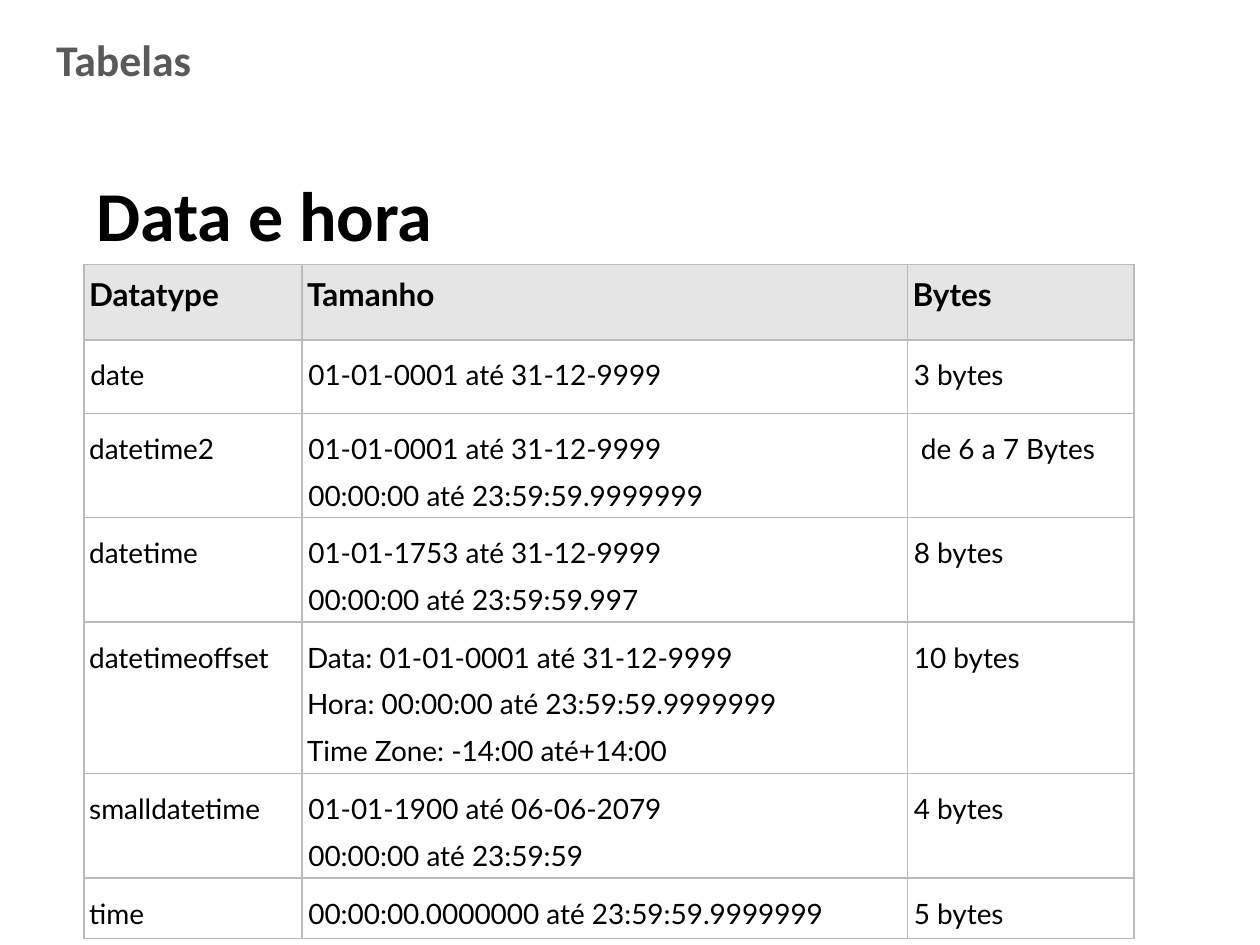
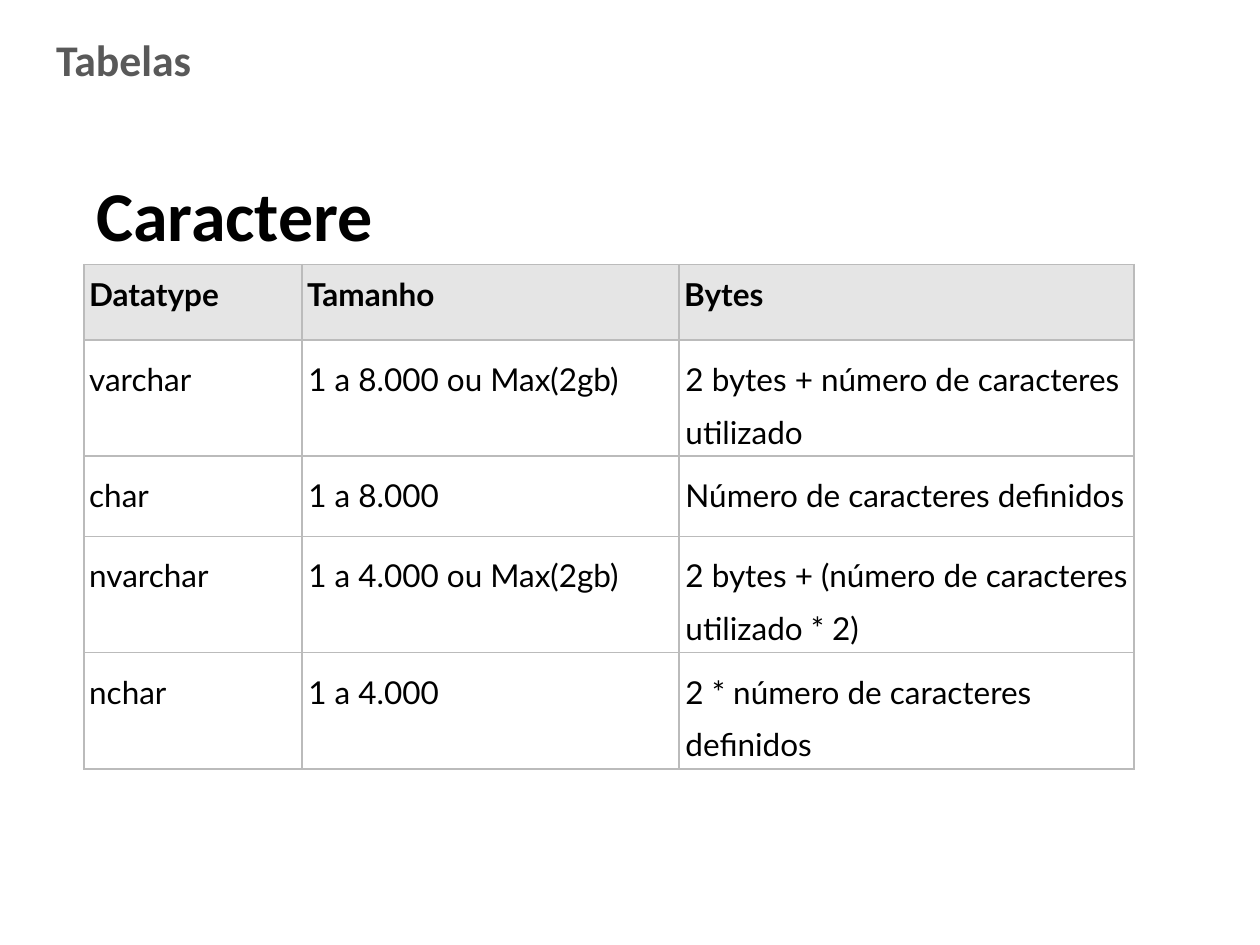
import lxml.etree
import pptx
import pptx.dml.color
import pptx.enum.text
import pptx.oxml.ns
import pptx.util

Pt = pptx.util.Pt
qn = pptx.oxml.ns.qn


def rgb(hex_value):
    return pptx.dml.color.RGBColor.from_string(hex_value)


def write(paragraph, text, font, spacing):
    paragraph.text = text
    for name, value in spacing.items():
        setattr(paragraph, name, value)
    for run in paragraph.runs:
        for name, value in font.items():
            setattr(run.font, name, value)
        run.font.color.rgb = rgb(GREY if font is SECTION_FONT else BLACK)
    for line_break in paragraph._p.findall(qn("a:br")):
        lxml.etree.SubElement(line_break, qn("a:rPr"), sz=str(int(font["size"].pt * 100)))


BLACK, GREY, RULE, HEADER_FILL, BODY_FILL = "000000", "595959", "BBBBBB", "E5E5E5", "FFFFFF"
SECTION_FONT = {"name": "Calibri", "size": Pt(25), "bold": True}
HEADING_FONT = {"name": "Calibri", "size": Pt(40), "bold": True}
HEADER_FONT = {"name": "Lato", "size": Pt(18), "bold": True}
HEADER_SPACING = {"line_spacing": 1.15, "space_after": Pt(10)}
NAME_SPACING = {"line_spacing": 1.4, "space_after": Pt(10)}
VALUE_SPACING = {"line_spacing": 1.4, "space_before": Pt(5), "space_after": Pt(5)}
TIGHT_SPACING = {"line_spacing": 1.4, "space_before": Pt(0), "space_after": Pt(0)}
CELL_MARGINS = dict.fromkeys(["margin_left", "margin_right", "margin_top", "margin_bottom"], Pt(3))
HEADER = ["Datatype", "Tamanho", "Bytes"]
TABLE_LEFT, TABLE_TOP = 48, 151.2

offset_range = (
    "Data: 01-01-0001 até 31-12-9999\n"
    "Hora: 00:00:00 até 23:59:59.9999999\n"
    "Time Zone: -14:00 até+14:00"
)

topics = [
    {
        "heading": "Data e hora",
        "body_size": 16,
        "widths": [124.5, 346, 129.5],
        "heights": [43, 42, 46, 46, 46, 46, 34.5],
        "datatypes": [
            ["date", "01-01-0001 até 31-12-9999", "3 bytes"],
            ["datetime2", "01-01-0001 até 31-12-9999\n00:00:00 até 23:59:59.9999999", " de 6 a 7 Bytes"],
            ["datetime", "01-01-1753 até 31-12-9999\n00:00:00 até 23:59:59.997", "8 bytes"],
            ["datetimeoffset", offset_range, "10 bytes"],
            ["smalldatetime", "01-01-1900 até 06-06-2079\n00:00:00 até 23:59:59", "4 bytes"],
            ["time", "00:00:00.0000000 até 23:59:59.9999999", "5 bytes"],
        ],
    },
    {
        "heading": "Caractere",
        "body_size": 18,
        "widths": [124.5, 215.5, 260],
        "heights": [43, 42, 46, 46, 46],
        "datatypes": [
            ["varchar", "1 a 8.000 ou Max(2gb)", "2 bytes + número de caracteres utilizado"],
            ["char", "1 a 8.000", "Número de caracteres definidos"],
            ["nvarchar", "1 a 4.000 ou Max(2gb)", "2 bytes + (número de caracteres utilizado * 2)"],
            ["nchar", "1 a 4.000", "2 * número de caracteres definidos"],
        ],
    },
]

deck = pptx.Presentation()
deck.slide_width, deck.slide_height = Pt(720), Pt(540)

for topic in topics:
    slide = deck.slides.add_slide(deck.slide_layouts[6])

    for text, font, bounds in [
        (topic["heading"], HEADING_FONT, (48, 94.5, 510.5, 55.5)),
        ("Tabelas", SECTION_FONT, (25, 15, 363, 37.5)),
    ]:
        title = slide.shapes.add_textbox(*map(Pt, bounds)).text_frame
        title.word_wrap = True
        title.auto_size = pptx.enum.text.MSO_AUTO_SIZE.SHAPE_TO_FIT_TEXT
        write(title.paragraphs[0], text, font, {})

    rows = [HEADER] + topic["datatypes"]
    datatype_table = slide.shapes.add_table(
        len(rows), len(HEADER), Pt(TABLE_LEFT), Pt(TABLE_TOP),
        Pt(sum(topic["widths"])), Pt(sum(topic["heights"])),
    ).table
    for column, width in zip(datatype_table.columns, topic["widths"]):
        column.width = Pt(width)
    for row, height in zip(datatype_table.rows, topic["heights"]):
        row.height = Pt(height)

    body_font = {"name": "Lato", "size": Pt(topic["body_size"]), "bold": False}
    for row_index, row in enumerate(rows):
        for column_index, text in enumerate(row):
            cell = datatype_table.cell(row_index, column_index)
            for name, value in CELL_MARGINS.items():
                setattr(cell, name, value)

            is_header = row_index == 0
            if is_header:
                spacing = HEADER_SPACING
            elif column_index == 0:
                spacing = NAME_SPACING
            else:
                spacing = TIGHT_SPACING if text == offset_range else VALUE_SPACING
            paragraph = cell.text_frame.paragraphs[0]
            write(paragraph, text, HEADER_FONT if is_header else body_font, spacing)
            if spacing is VALUE_SPACING or text == "date":
                paragraph._p.get_or_add_pPr().set("marL", str(Pt(0.75)))

            cell_format = cell._tc.get_or_add_tcPr()
            for edge in ["a:lnL", "a:lnR", "a:lnT", "a:lnB"]:
                border = lxml.etree.SubElement(cell_format, qn(edge), w=str(Pt(1)))
                border_fill = lxml.etree.SubElement(border, qn("a:solidFill"))
                lxml.etree.SubElement(border_fill, qn("a:srgbClr"), val=RULE)
            cell.fill.solid()
            cell.fill.fore_color.rgb = rgb(HEADER_FILL if is_header else BODY_FILL)

deck.save("out.pptx")
